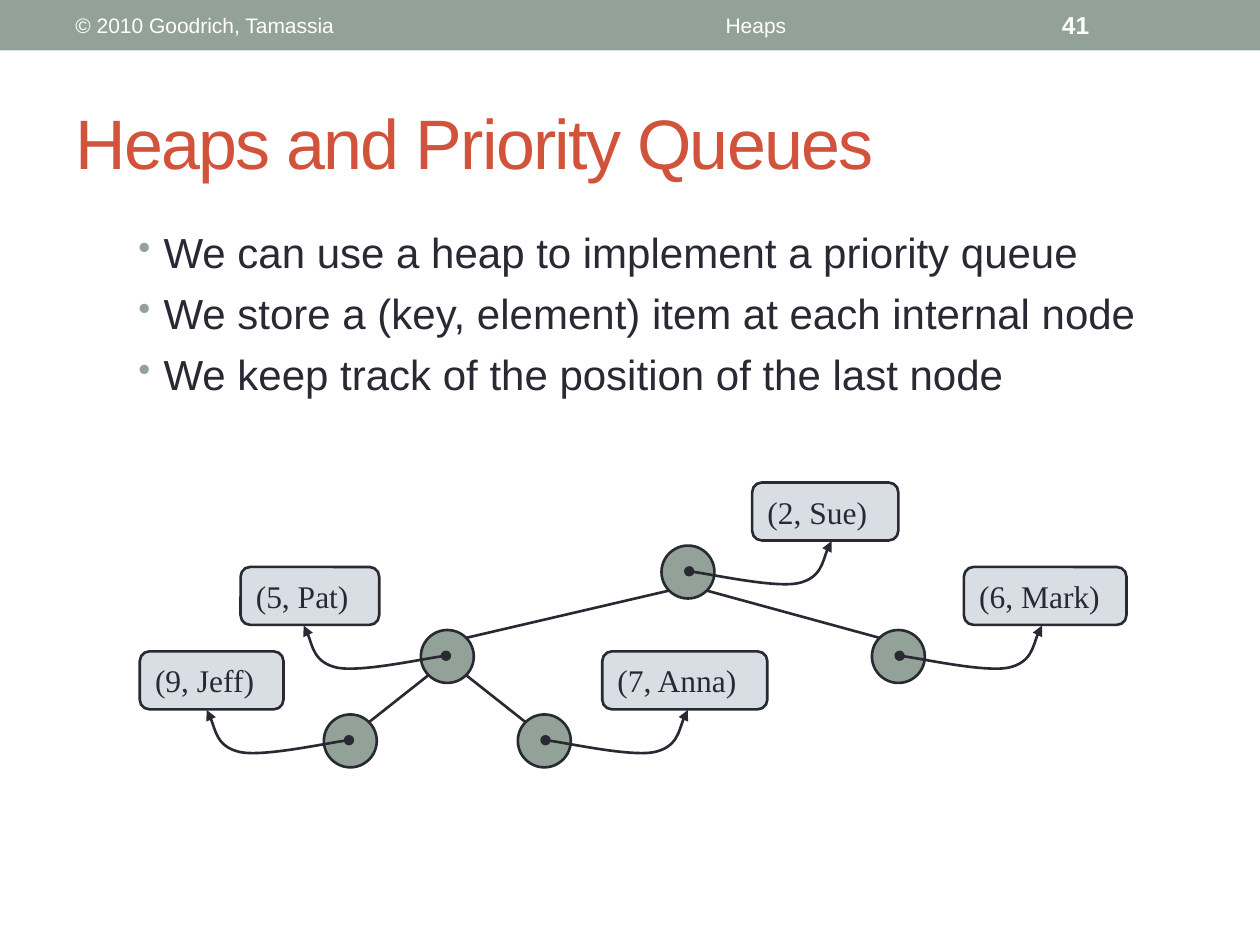
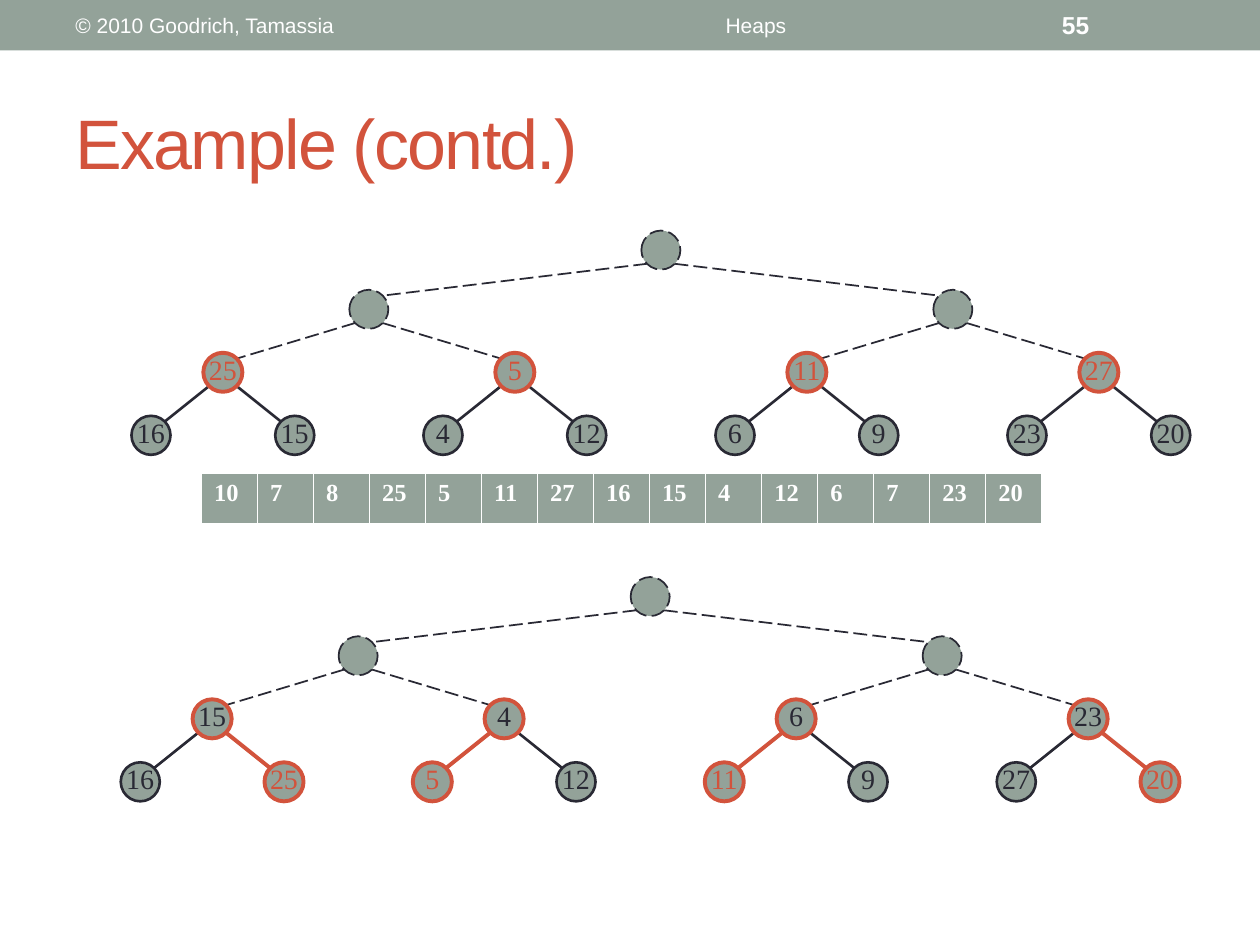
"""Build two heap slides on a grid of 100 by 75 square cells."""
import dataclasses

import lxml.etree
import pptx
import pptx.dml.color
import pptx.enum.dml
import pptx.enum.shapes
import pptx.enum.text
import pptx.oxml.ns
import pptx.util

COLS, ROWS = 100, 75
CELL = pptx.util.Inches(10) // COLS
SHAPE = pptx.enum.shapes.MSO_SHAPE
ALIGN = pptx.enum.text.PP_ALIGN
ANCHOR = pptx.enum.text.MSO_ANCHOR
DASH = pptx.enum.dml.MSO_LINE.LONG_DASH
qn = pptx.oxml.ns.qn


@dataclasses.dataclass(frozen=True)
class Theme:
    """Hold the colours, fonts, type sizes and line widths."""
    sage: str = "93A299"
    rust: str = "D2533C"
    ink: str = "292934"
    mist: str = "D9DEE4"
    white: str = "FFFFFF"
    sans: str = "Arial"
    serif: str = "Times New Roman"
    title: int = 40
    body: int = 24
    label: int = 18
    key: int = 16
    cell: int = 14
    footer: int = 12
    thin: float = 1
    medium: float = 1.5
    thick: float = 2.25


T = Theme()


@dataclasses.dataclass(frozen=True)
class Box:
    """Describe a region in grid cells."""
    left: float
    top: float
    width: float
    height: float

    def sub(self, x, y, width, height):
        """Return a region placed from this one's corner."""
        return Box(self.left + x, self.top + y, width, height)

    def emu(self):
        """Return left, top, width and height as lengths."""
        return [cells(n) for n in (self.left, self.top, self.width, self.height)]


def cells(n):
    """Convert grid cells to a length."""
    return pptx.util.Emu(round(n * CELL))


def rgb(color):
    """Convert a hex string to a colour."""
    return pptx.dml.color.RGBColor.from_string(color)


def add_xml(parent, tag, **attrs):
    """Append a drawing element with attributes."""
    return lxml.etree.SubElement(parent, qn(tag), attrs)


def style_line(line, color=T.ink, width=T.medium, dash=None):
    """Set a line's colour, width and dash."""
    line.color.rgb = rgb(color)
    line.width = pptx.util.Pt(width)
    if dash:
        line.dash_style = dash


def write(tf, text, size, color, font=T.sans, bold=False, align=ALIGN.LEFT,
          anchor=ANCHOR.MIDDLE, wrap=True, spacing=None, p=None):
    """Write formatted text into a frame or a given paragraph."""
    tf.word_wrap = wrap
    tf.vertical_anchor = anchor
    p = p or tf.paragraphs[0]
    p.alignment = align
    r = p.add_run()
    r.text = text
    r.font.size = pptx.util.Pt(size)
    r.font.name = font
    r.font.bold = bold
    r.font.color.rgb = rgb(color)
    if spacing:
        r.font._element.set("spc", str(spacing))


def add_text(s, box, text, size, color, **fmt):
    """Add a text box and return its frame."""
    tf = s.shapes.add_textbox(*box.emu()).text_frame
    write(tf, text, size, color, **fmt)
    return tf


def add_shape(s, kind, box, fill, **line):
    """Add a filled preset shape, outlined when a line format is given."""
    sp = s.shapes.add_shape(kind, *box.emu())
    sp.shadow.inherit = False
    sp.fill.solid()
    sp.fill.fore_color.rgb = rgb(fill)
    if line:
        style_line(sp.line, **line)
    else:
        sp.line.fill.background()
    return sp


def add_node(s, center, size, **line):
    """Add a tree node around its centre."""
    x, y = center
    return add_shape(s, SHAPE.OVAL, Box(x - size / 2, y - size / 2, size, size), T.sage, **line)


def add_edge(s, parent, child, size, **line):
    """Join the facing diagonal points of a parent and a child node."""
    reach = size * 0.35
    side = 1 if child[0] > parent[0] else -1
    ends = (parent[0] + side * reach, parent[1] + reach,
            child[0] - side * reach, child[1] - reach)
    cx = s.shapes.add_connector(pptx.enum.shapes.MSO_CONNECTOR.STRAIGHT, *map(cells, ends))
    style_line(cx.line, **line)
    add_xml(cx._element.spPr, "a:effectLst")


def add_pointer(s, center, side):
    """Draw a curved arrow from a node up to its item."""
    offsets = [(0, 0), (1.4, 0.15), (6.7, 1.3), (8.6, 0.95),
               (10.5, 0.55), (10.8, -1.7), (11.3, -2.4)]
    x, y = center[0] + side * 0.1, center[1] - 0.05
    points = [(cells(x + side * dx), cells(y + dy)) for dx, dy in offsets]
    fb = s.shapes.build_freeform(*points[0])
    fb.add_line_segments(points[1:], close=False)
    sp = fb.convert_to_shape()
    sp.shadow.inherit = False
    sp.fill.background()
    style_line(sp.line)
    outline = next(sp._element.iter(qn("a:path")))
    segments = outline.findall(qn("a:lnTo"))
    for i in range(0, len(segments), 3):
        curve = add_xml(outline, "a:cubicBezTo")
        for segment in segments[i:i + 3]:
            curve.append(segment[0])
            outline.remove(segment)
    ln = sp._element.spPr.find(qn("a:ln"))
    add_xml(ln, "a:headEnd", type="oval")
    add_xml(ln, "a:tailEnd", type="triangle")


def add_band(s, box, number):
    """Draw the top band with its credit, topic and slide number."""
    add_shape(s, SHAPE.RECTANGLE, box, T.sage)
    add_text(s, box.sub(5, 0.2, 31.7, 3.6), "© 2010 Goodrich, Tamassia", T.footer, T.white)
    add_text(s, box.sub(37.5, 0.2, 45, 3.6), "Heaps", T.footer, T.white, align=ALIGN.CENTER)
    add_text(s, box.sub(83.3, 0.2, 11.7, 3.6), number, T.cell, T.white, bold=True)


def add_frame(prs, title, number):
    """Add a slide with the shared band and title."""
    s = prs.slides.add_slide(prs.slide_layouts[6])
    add_band(s, Box(0, 0, COLS, 4), number)
    add_text(s, Box(5, 5.8, 90, 10.8), title, T.title, T.rust, spacing=-100)
    return s


def add_bullets(s, box, lines):
    """Add a bulleted list."""
    tf = s.shapes.add_textbox(*box.emu()).text_frame
    for i, text in enumerate(lines):
        p = tf.add_paragraph() if i else tf.paragraphs[0]
        pPr = p._p.get_or_add_pPr()
        pPr.set("marL", str(cells(2)))
        pPr.set("indent", str(-cells(2)))
        add_xml(add_xml(pPr, "a:buClr"), "a:srgbClr", val=T.sage)
        add_xml(pPr, "a:buSzPct", val="85000")
        add_xml(pPr, "a:buChar", char="•")
        if i:
            p.space_before = pptx.util.Pt(6)
        write(tf, text, T.body, T.ink, anchor=ANCHOR.TOP, p=p)


def add_item_heap(s, box, items):
    """Draw a heap whose nodes point to items, listed in level order."""
    size, row, drop = 4.2, 6.7, 7.1
    centers = [(box.left + x, box.top + drop + row * level) for x, level, *_ in items]
    for i in range(1, len(items)):
        add_edge(s, centers[(i - 1) // 2], centers[i], size)
    for center, (_, level, side, text, left, width) in zip(centers, items):
        add_node(s, center, size, color=T.ink)
        label = add_shape(s, SHAPE.ROUNDED_RECTANGLE,
                          box.sub(left, row * level, width, 4.6), T.mist, color=T.ink)
        write(label.text_frame, text, T.label, T.ink, font=T.serif)
        add_pointer(s, center, side)


def add_key_heap(s, box, keys, tinted):
    """Draw a four-level heap with the tinted keys in the accent colour."""
    size, merged = 3.1, range(3, 7)
    levels = (1.55, 6.25, 11.25, 16.25)
    spreads = (box.width / 4, box.width / 8, box.width / 16.25)
    centers = [(box.left + box.width / 2, box.top + levels[0])]
    for i in range(1, len(keys)):
        depth = (i + 1).bit_length() - 1
        parent = (i - 1) // 2
        side = -1 if i % 2 else 1
        centers.append((centers[parent][0] + side * spreads[depth - 1], box.top + levels[depth]))
    plain = dict(color=T.ink)
    pending = dict(color=T.ink, width=T.thin, dash=DASH)
    accent = dict(color=T.rust, width=T.thick)
    for i in range(1, len(keys)):
        parent = (i - 1) // 2
        line = pending if not keys[parent] else accent if i in tinted else plain
        add_edge(s, centers[parent], centers[i], size, **line)
    for i, (key, center) in enumerate(zip(keys, centers)):
        line = pending if not key else accent if i in tinted or i in merged else plain
        sp = add_node(s, center, size, **line)
        if key:
            tf = sp.text_frame
            tf.margin_left = tf.margin_right = tf.margin_top = 0
            tf.margin_bottom = cells(0.5)
            write(tf, key, T.key, T.rust if i in tinted else T.ink, font=T.serif,
                  align=ALIGN.CENTER, wrap=False)


def add_array(s, box, values):
    """Add a one-row table of array values."""
    table = s.shapes.add_table(1, len(values), *box.emu()).table
    table.rows[0].height = cells(box.height)
    for i, value in enumerate(values):
        table.columns[i].width = cells(box.width / len(values))
        cell = table.cell(0, i)
        tcPr = cell._tc.get_or_add_tcPr()
        for side, width in (("L", 1), ("R", 1), ("T", 1), ("B", 3)):
            ln = add_xml(tcPr, f"a:ln{side}", w=str(pptx.util.Pt(width)))
            add_xml(add_xml(ln, "a:solidFill"), "a:srgbClr", val=T.white)
        cell.fill.solid()
        cell.fill.fore_color.rgb = rgb(T.sage)
        write(cell.text_frame, value, T.cell, T.white, font=T.serif, bold=True, anchor=ANCHOR.TOP)


def build_queue_slide(prs):
    """Build the slide on heaps as priority queues."""
    s = add_frame(prs, "Heaps and Priority Queues", "41")
    add_bullets(s, Box(10, 17.5, 84.2, 18.3), [
        "We can use a heap to implement a priority queue",
        "We store a (key, element) item at each internal node",
        "We keep track of the position of the last node"])
    add_item_heap(s, Box(10, 38.3, 80, 22.6), [
        (44.6, 0, 1, "(2, Sue)", 49.7, 11.6),
        (25.5, 1, -1, "(5, Pat)", 9.1, 11),
        (61.3, 1, 1, "(6, Mark)", 66.5, 12.9),
        (17.8, 2, -1, "(9, Jeff)", 1.1, 11.4),
        (33.2, 2, 1, "(7, Anna)", 37.8, 13.1)])


def build_example_slide(prs):
    """Build the slide with a heap before and after its merges."""
    s = add_frame(prs, "Example (contd.)", "55")
    before = "25 5 11 27 16 15 4 12 6 9 23 20".split()
    after = "15 4 6 23 16 25 5 12 11 9 27 20".split()
    upper = Box(6.1, 18.3, 92.7, 17.8)
    add_key_heap(s, upper, [""] * 3 + before, {3, 4, 5, 6})
    add_key_heap(s, upper.sub(-0.85, 27.5, upper.width, upper.height),
                 [""] * 3 + after, {8, 9, 11, 14})
    add_array(s, Box(16, 37.6, 66.7, 4.1),
              "10 7 8 25 5 11 27 16 15 4 12 6 7 23 20".split())


def main():
    """Build and save the presentation."""
    prs = pptx.Presentation()
    prs.slide_width, prs.slide_height = cells(COLS), cells(ROWS)
    build_queue_slide(prs)
    build_example_slide(prs)
    prs.save("out.pptx")


if __name__ == "__main__":
    main()
